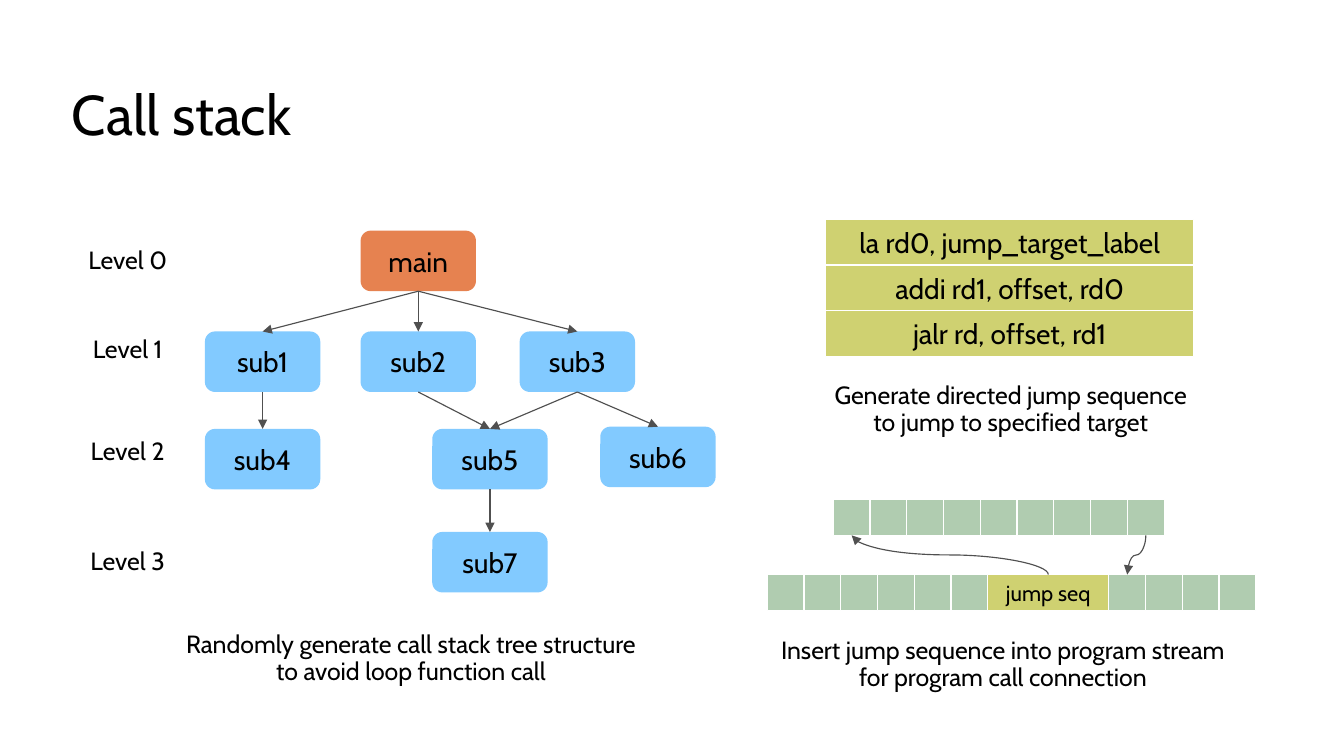
import pptx
import pptx.util
import pptx.dml.color
import pptx.enum.shapes
import pptx.enum.text
import pptx.oxml
import pptx.oxml.ns

Inches = pptx.util.Inches
SHAPES = pptx.enum.shapes.MSO_SHAPE
LINKS = pptx.enum.shapes.MSO_CONNECTOR
ANCHOR = pptx.enum.text.MSO_ANCHOR
ALIGN = pptx.enum.text.PP_ALIGN

FONT = "Cabin"
COLOURS = {
    "text": "000000", "main": "E68250", "sub": "82CAFF", "jump": "CFD171",
    "stream": "B0CCB0", "gap": "FFFFFF", "arrow": "505050",
}

TITLE = "Call stack"
NODE_SIZE = (1.03, 0.54)
NODES = {  # name: (left, top)
    "main": (3.22, 2.06),
    "sub1": (1.83, 2.96), "sub2": (3.22, 2.96), "sub3": (4.64, 2.96),
    "sub4": (1.83, 3.83), "sub5": (3.86, 3.83), "sub6": (5.36, 3.81),
    "sub7": (3.86, 4.75),
}
CALLS = [
    ("main", "sub2"), ("main", "sub1"), ("main", "sub3"), ("sub1", "sub4"),
    ("sub2", "sub5"), ("sub3", "sub5"), ("sub3", "sub6"), ("sub5", "sub7"),
]
LEVELS = [("Level 0", 2.04), ("Level 1", 2.84), ("Level 2", 3.75), ("Level 3", 4.73)]
INSTRUCTIONS = ["la rd0, jump_target_label", "addi rd1, offset, rd0", "jalr rd, offset, rd1"]
INSTRUCTION_HEIGHT = 1.22 / 3
CAPTIONS = [  # (lines, left, top, width)
    (["Randomly generate call stack tree structure", "to avoid loop function call"],
     1.13, 5.59, 5.08),
    (["Generate directed jump sequence", "to jump to specified target"], 7, 3.37, 4.05),
    (["Insert jump sequence into program stream", "for program call connection"],
     6.48, 5.65, 4.95),
]
CELL_WIDTH, CELL_HEIGHT = 1.97 / 6, 0.32
STREAM_LEFT, STREAM_TOP = 6.85, 5.13
CELLS_BEFORE, CELLS_AFTER = 6, 4
JUMP_WIDTH = 1.08
TARGET_LEFT, TARGET_TOP, TARGET_CELLS = 7.44, 4.46, 9


def rgb(name):
    return pptx.dml.color.RGBColor.from_string(COLOURS[name])


def write(shape, lines, size, align=ALIGN.CENTER, spacing=None):
    shape.text_frame.text = "\n".join(lines)
    for para in shape.text_frame.paragraphs:
        para.alignment = align
        if spacing:
            para.line_spacing = spacing
        for span in para.runs:
            span.font.name = FONT
            span.font.size = pptx.util.Pt(size)
            span.font.color.rgb = rgb("text")


def add_block(slide, kind, place, fill, text="", size=18, outlined=True):
    block = slide.shapes.add_shape(kind, *map(Inches, place))
    block.shadow.inherit = False
    block.fill.solid()
    block.fill.fore_color.rgb = rgb(fill)
    if outlined:
        block.line.color.rgb = rgb("gap")
        block.line.width = pptx.util.Pt(0.75)
    else:
        block.line.fill.background()
    if text:
        block.text_frame.vertical_anchor = ANCHOR.MIDDLE
        block.text_frame.word_wrap = True
        write(block, [text], size)
    return block


def add_label(slide, lines, place, wrap):
    box = slide.shapes.add_textbox(*map(Inches, place))
    box.text_frame.word_wrap = wrap
    box.text_frame.vertical_anchor = ANCHOR.MIDDLE
    write(box, lines, 16, spacing=0.9)


def add_arrow(slide, kind, source, source_side, target, target_side):
    arrow = slide.shapes.add_connector(kind, 0, 0, 0, 0)
    arrow.begin_connect(source, source_side)
    arrow.end_connect(target, target_side)
    arrow.line.color.rgb = rgb("arrow")
    arrow.line.width = pptx.util.Pt(0.75)
    head = pptx.oxml.parse_xml(
        f'<a:tailEnd {pptx.oxml.ns.nsdecls("a")} type="triangle"/>')
    arrow.line._get_or_add_ln().append(head)
    arrow._element.spPr.append(
        pptx.oxml.parse_xml(f'<a:effectLst {pptx.oxml.ns.nsdecls("a")}/>'))
    return arrow


def add_curve(slide, source, source_side, target, target_side):
    """Add a curve that leaves and arrives vertically, heading left overall."""
    curve = add_arrow(slide, LINKS.CURVE, source, source_side, target, target_side)
    upward = curve.end_y < curve.begin_y
    middle_x = (curve.begin_x + curve.end_x) // 2
    middle_y = (curve.begin_y + curve.end_y) // 2
    across, along = curve.width, curve.height
    curve.left, curve.top = middle_x - along // 2, middle_y - across // 2
    curve.width, curve.height = along, across
    frame = curve._element.spPr.xfrm
    frame.set("rot", str((270 if upward else 90) * 60000))
    frame.set("flipH", "0")
    frame.set("flipV", "1" if upward else "0")


def add_cells(slide, left, top, count):
    return [
        add_block(slide, SHAPES.RECTANGLE,
                  (left + i * CELL_WIDTH, top, CELL_WIDTH, CELL_HEIGHT), "stream")
        for i in range(count)
    ]


def add_title(slide):
    title = slide.shapes.title
    title.left, title.top, title.width, title.height = map(Inches, (0.54, 0.72, 10.91, 0.65))
    title.text_frame.vertical_anchor = ANCHOR.BOTTOM
    title.text_frame.word_wrap = True
    write(title, [TITLE], 36, ALIGN.LEFT, 0.9)


def add_call_tree(slide):
    nodes = {
        name: add_block(slide, SHAPES.ROUNDED_RECTANGLE, place + NODE_SIZE,
                        "main" if name == "main" else "sub", name, outlined=False)
        for name, place in NODES.items()
    }
    for caller, callee in CALLS:
        add_arrow(slide, LINKS.STRAIGHT, nodes[caller], 2, nodes[callee], 0)
    for name, top in LEVELS:
        add_label(slide, [name], (0.68, top, 0.92, 0.58), True)


def add_program_stream(slide):
    jump_left = STREAM_LEFT + CELLS_BEFORE * CELL_WIDTH
    jump = add_block(slide, SHAPES.RECTANGLE,
                     (jump_left, STREAM_TOP, JUMP_WIDTH, CELL_HEIGHT),
                     "jump", "jump seq", 14)
    add_cells(slide, STREAM_LEFT, STREAM_TOP, CELLS_BEFORE)
    after = add_cells(slide, jump_left + JUMP_WIDTH, STREAM_TOP, CELLS_AFTER)
    target = add_cells(slide, TARGET_LEFT, TARGET_TOP, TARGET_CELLS)
    add_curve(slide, jump, 0, target[0], 2)
    add_curve(slide, target[-1], 2, after[0], 0)


def main():
    deck = pptx.Presentation()
    deck.slide_width, deck.slide_height = Inches(12), Inches(6.75)
    slide = deck.slides.add_slide(deck.slide_layouts.get_by_name("Title Only"))
    add_title(slide)
    add_call_tree(slide)
    for i, text in enumerate(INSTRUCTIONS):
        place = (7.37, 1.96 + i * INSTRUCTION_HEIGHT, 3.29, INSTRUCTION_HEIGHT)
        add_block(slide, SHAPES.RECTANGLE, place, "jump", text)
    for lines, left, top, width in CAPTIONS:
        add_label(slide, lines, (left, top, width, 0.58), False)
    add_program_stream(slide)
    deck.save("out.pptx")


if __name__ == "__main__":
    main()
